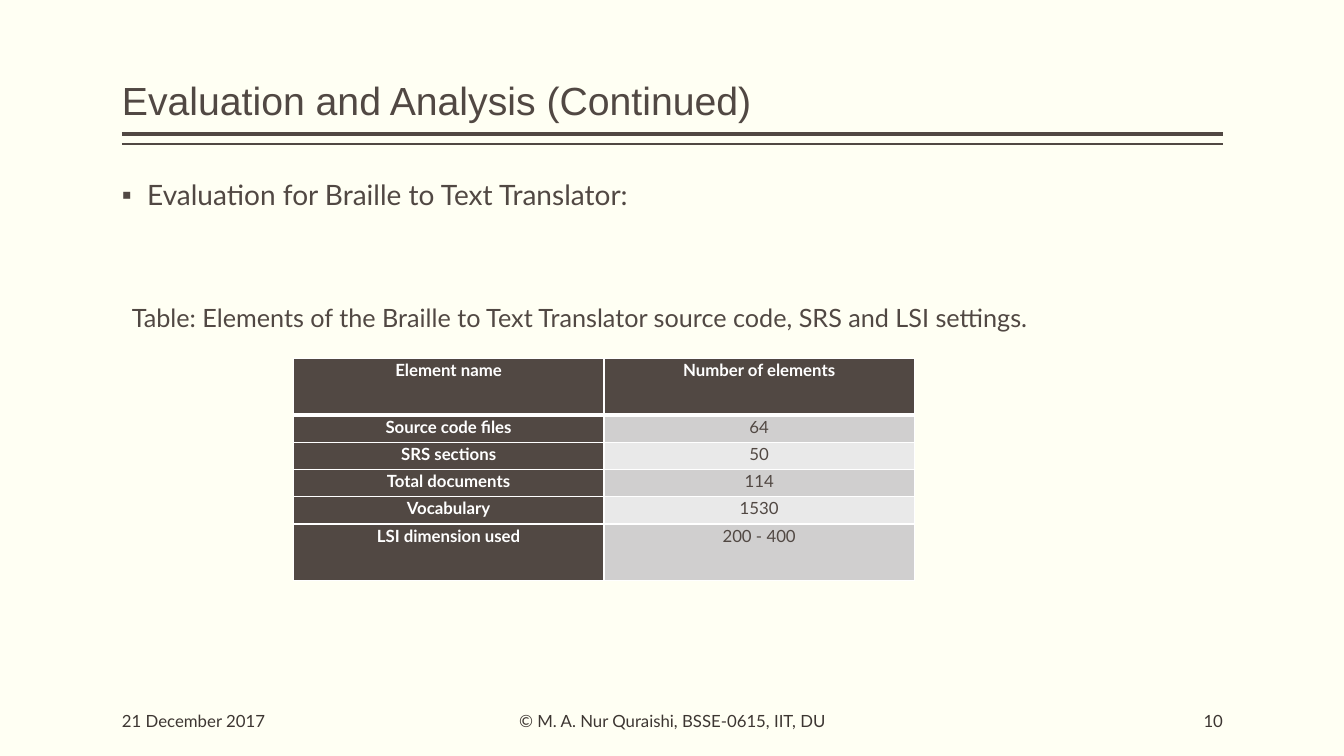
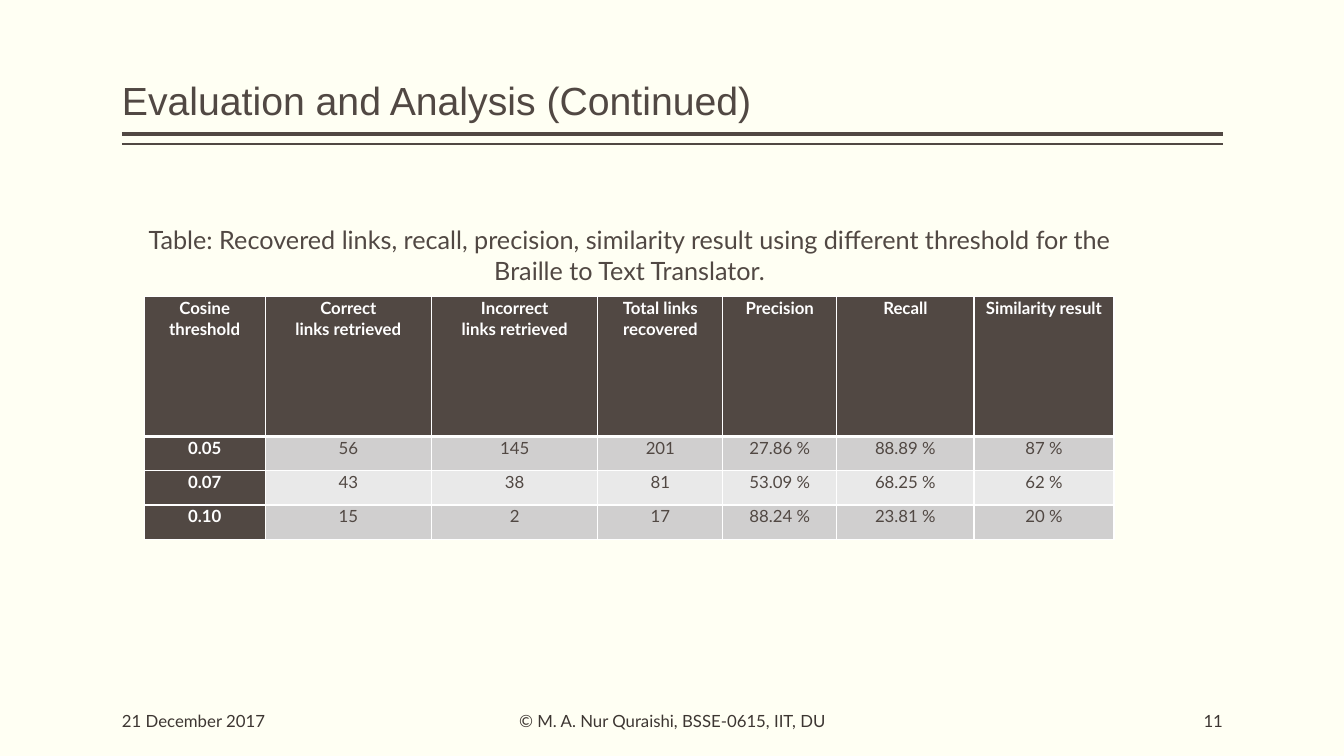
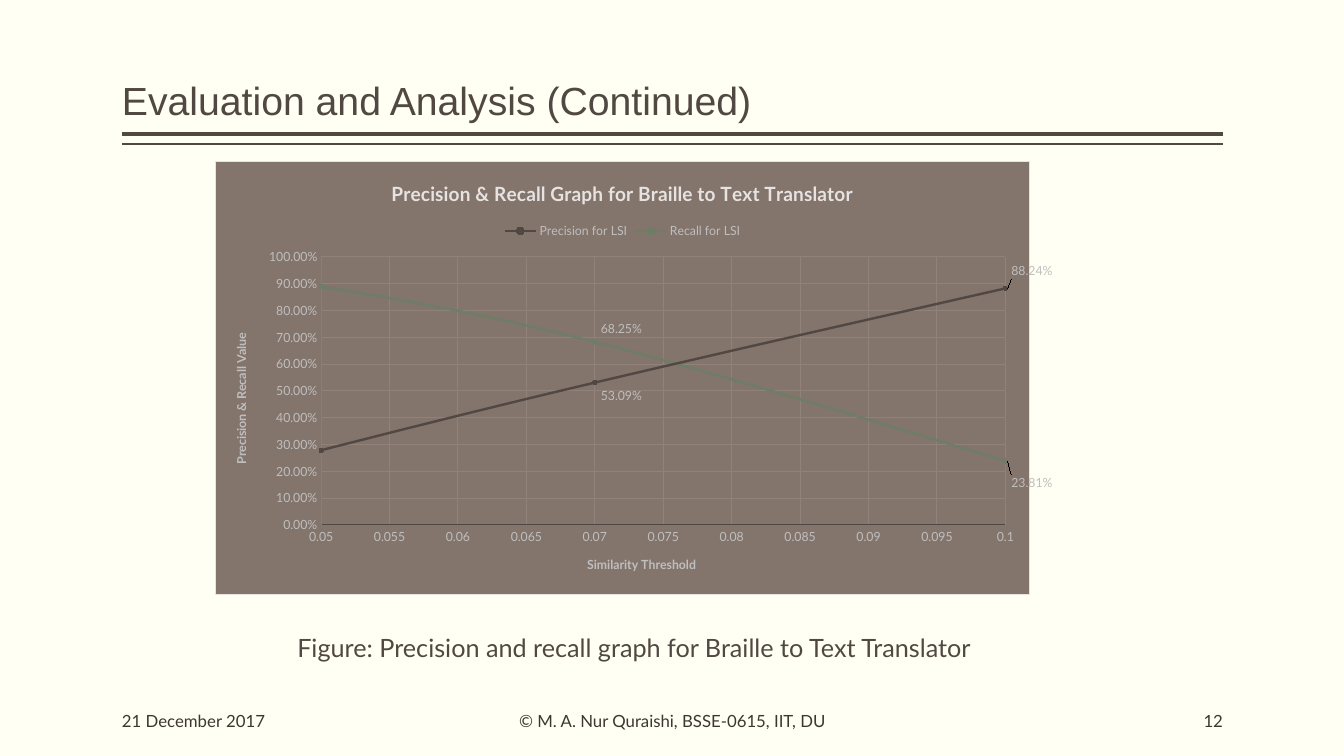
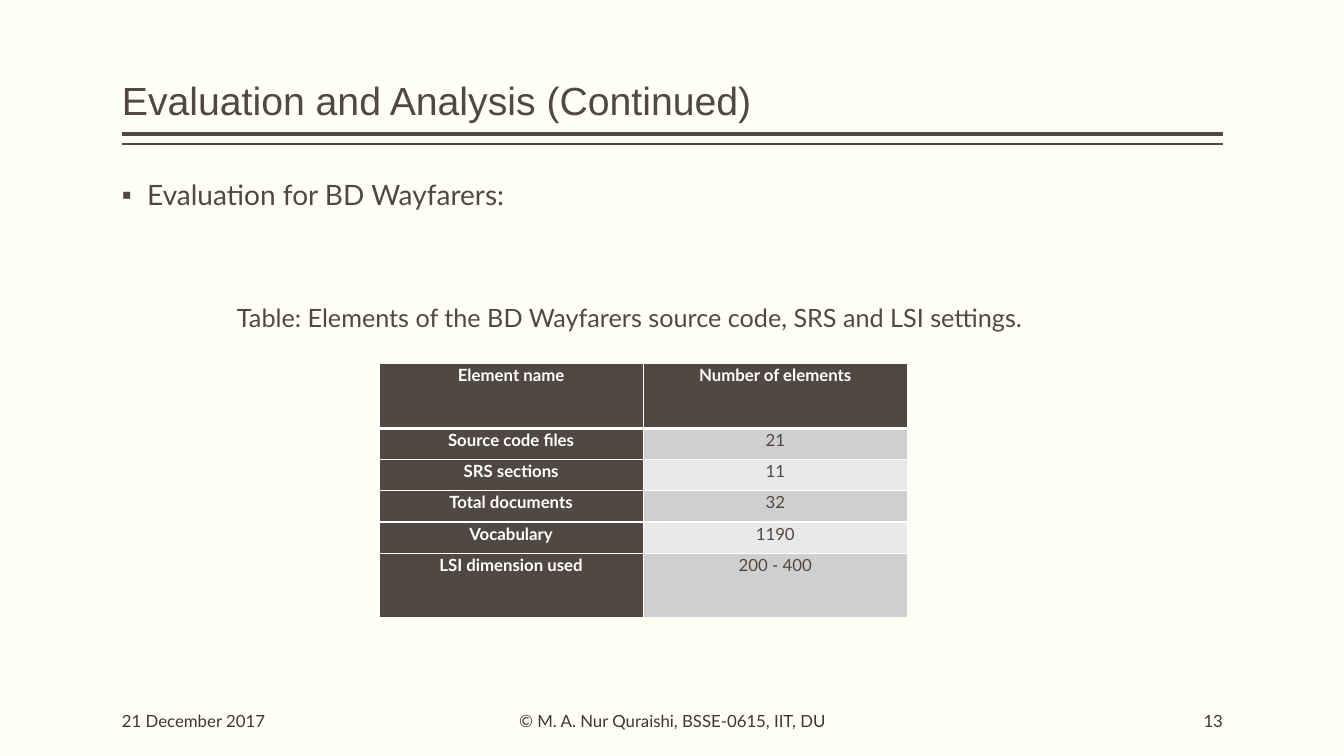
from dataclasses import dataclass
from typing import Optional

from lxml.etree import SubElement
from pptx import Presentation
from pptx.chart.chart import Chart
from pptx.chart.data import XyChartData
from pptx.dml.color import RGBColor
from pptx.enum.chart import (XL_CHART_TYPE, XL_LABEL_POSITION, XL_LEGEND_POSITION,
                             XL_MARKER_STYLE, XL_TICK_MARK)
from pptx.enum.shapes import MSO_CONNECTOR
from pptx.enum.text import MSO_ANCHOR, PP_ALIGN
from pptx.oxml import parse_xml
from pptx.oxml.ns import nsdecls, qn
from pptx.slide import Slide
from pptx.util import Inches, Pt

CREAM = RGBColor(0xFF, 0xFF, 0xF3)
BROWN = RGBColor(0x51, 0x48, 0x43)
FOOTER_INK = RGBColor(0x3D, 0x36, 0x32)
WHITE = RGBColor(0xFF, 0xFF, 0xFF)
BAND_DARK = RGBColor(0xD0, 0xCF, 0xCF)
BAND_LIGHT = RGBColor(0xE9, 0xE9, 0xE9)
CHART_FILL = RGBColor(0x83, 0x74, 0x6C)
CHART_EDGE = RGBColor(0xE6, 0xE3, 0xE1)
GRID = RGBColor(0x90, 0x82, 0x7A)
AXIS_GREY = RGBColor(0x80, 0x80, 0x80)
CHART_INK = RGBColor(0xBF, 0xBF, 0xBF)
GREEN = RGBColor(0x6D, 0x7D, 0x66)

LEFT, WIDTH = 1.21, 10.92
FOOTER_W = 2.0
FIRST_PAGE = 10
TITLE = "Evaluation and Analysis (Continued)"
DATE = "21 December 2017"
AUTHOR = "© M. A. Nur Quraishi, BSSE-0615, IIT, DU"

TITLE_FONT = {"name": "Arial", "size": Pt(28)}
BODY_FONT = {"name": "Lato", "size": Pt(20)}
CAPTION_FONT = {"name": "Lato", "size": Pt(18)}
FOOTER_FONT = {"name": "Lato", "size": Pt(12)}
CELL_FONT = {"name": "Lato", "size": Pt(12), "bold": False}
HEAD_FONT = CELL_FONT | {"bold": True}
CHART_FONT = {"name": "Lato", "size": Pt(9), "bold": False}
AXIS_TITLE_FONT = CHART_FONT | {"bold": True}
CHART_TITLE_FONT = AXIS_TITLE_FONT | {"size": Pt(14)}


@dataclass
class Box:
    x: float
    y: float
    w: float
    h: float

    def emu(self) -> tuple:
        return tuple(Inches(v) for v in (self.x, self.y, self.w, self.h))


@dataclass
class Caption:
    text: str
    box: Box
    align: PP_ALIGN = PP_ALIGN.CENTER


@dataclass
class Grid:
    x: float
    y: float
    cols: list[float]
    rows: list[float]
    cells: list[list[str]]


@dataclass
class Curve:
    name: str
    color: RGBColor
    values: list[float]
    label_shifts: dict[int, float]


@dataclass
class Page:
    caption: Caption
    bullet: Optional[str] = None
    grid: Optional[Grid] = None
    curves: Optional[list[Curve]] = None


def style_font(font, fmt: dict, color: RGBColor) -> None:
    for key, value in fmt.items():
        setattr(font, key, value)
    font.color.rgb = color


def add_text(s: Slide, text: str, box: Box, fmt: dict, color: RGBColor = BROWN,
             align: PP_ALIGN = PP_ALIGN.LEFT, anchor: MSO_ANCHOR = MSO_ANCHOR.TOP,
             side: float = 0, spacing: float = 1.0):
    tf = s.shapes.add_textbox(*box.emu()).text_frame
    frame = {"word_wrap": True, "vertical_anchor": anchor,
             "margin_left": Inches(side), "margin_right": Inches(side)}
    for key, value in frame.items():
        setattr(tf, key, value)
    p = tf.paragraphs[0]
    p.alignment, p.line_spacing = align, spacing
    r = p.add_run()
    r.text = text
    style_font(r.font, fmt, color)
    return p


def add_rule(s: Slide, y: float, weight: float) -> None:
    sp = s.shapes.add_connector(MSO_CONNECTOR.STRAIGHT, Inches(LEFT), Inches(y),
                                Inches(LEFT + WIDTH), Inches(y))
    sp.line.color.rgb = BROWN
    sp.line.width = Pt(weight)
    SubElement(sp.element.spPr, qn("a:effectLst"))


def add_frame(s: Slide, number: int) -> None:
    add_rule(s, 1.33, 3)
    add_rule(s, 1.43, 1)
    add_text(s, TITLE, Box(LEFT, 0.08, WIDTH, 1.2), TITLE_FONT,
             anchor=MSO_ANCHOR.BOTTOM, spacing=0.9)
    x = LEFT
    for text, w, align in ((DATE, FOOTER_W, PP_ALIGN.LEFT),
                           (AUTHOR, WIDTH - 2 * FOOTER_W, PP_ALIGN.CENTER),
                           (str(number), FOOTER_W, PP_ALIGN.RIGHT)):
        add_text(s, text, Box(x, 6.95, w, 0.4), FOOTER_FONT, FOOTER_INK,
                 align, MSO_ANCHOR.MIDDLE)
        x += w


def add_bullet(s: Slide, text: str) -> None:
    p = add_text(s, text, Box(LEFT, 1.75, WIDTH, 5), BODY_FONT, spacing=0.9)
    p.space_before = Pt(18)
    pPr = p._p.get_or_add_pPr()
    pPr.set("marL", str(Inches(0.25)))
    pPr.set("indent", str(-Inches(0.25)))
    SubElement(pPr, qn("a:buFont"), typeface="Arial")
    SubElement(pPr, qn("a:buChar"), char="▪")


def add_borders(cell, top: float, bottom: float) -> None:
    tcPr = cell._tc.get_or_add_tcPr()
    for side, weight in (("L", 1), ("R", 1), ("T", top), ("B", bottom)):
        ln = SubElement(tcPr, qn(f"a:ln{side}"), w=str(Pt(weight)))
        SubElement(SubElement(ln, qn("a:solidFill")), qn("a:srgbClr"), val=str(WHITE))


def fill_cell(cell, text: str, row: int, col: int) -> None:
    heading = row == 0 or col == 0
    add_borders(cell, 3 if row == 1 else 1, 3 if row == 0 else 1)
    cell.fill.solid()
    cell.fill.fore_color.rgb = BROWN if heading else BAND_DARK if row % 2 else BAND_LIGHT
    margins = {"margin_left": 0.07, "margin_right": 0.07, "margin_top": 0, "margin_bottom": 0}
    for key, value in margins.items():
        setattr(cell, key, Inches(value))
    cell.text_frame.text = text
    for p in cell.text_frame.paragraphs:
        p.alignment, p.line_spacing = PP_ALIGN.CENTER, 1.07
        style_font(p.runs[0].font, HEAD_FONT if heading else CELL_FONT,
                   WHITE if heading else BROWN)


def add_grid(s: Slide, grid: Grid) -> None:
    box = Box(grid.x, grid.y, sum(grid.cols), sum(grid.rows))
    table = s.shapes.add_table(len(grid.rows), len(grid.cols), *box.emu()).table
    for column, w in zip(table.columns, grid.cols):
        column.width = Inches(w)
    for row, h in zip(table.rows, grid.rows):
        row.height = Inches(h)
    for i, texts in enumerate(grid.cells):
        for j, text in enumerate(texts):
            fill_cell(table.cell(i, j), text, i, j)


def style_axis(axis, title: str, color: RGBColor, low: float, high: float,
               step: float, number_format: str) -> None:
    scale = {"minimum_scale": low, "maximum_scale": high, "major_unit": step,
             "has_major_gridlines": True, "major_tick_mark": XL_TICK_MARK.NONE,
             "minor_tick_mark": XL_TICK_MARK.NONE}
    for key, value in scale.items():
        setattr(axis, key, value)
    for line, ink in ((axis.format.line, color), (axis.major_gridlines.format.line, GRID)):
        line.color.rgb = ink
        line.width = Pt(0.75)
    axis.tick_labels.number_format = number_format
    axis.tick_labels.number_format_is_linked = False
    style_font(axis.tick_labels.font, CHART_FONT, CHART_INK)
    set_title(axis.axis_title, title, AXIS_TITLE_FONT, CHART_INK)


def set_title(title, text: str, fmt: dict, color: RGBColor) -> None:
    title.text_frame.text = text
    style_font(title.text_frame.paragraphs[0].runs[0].font, fmt, color)


def manual_layout(**values) -> object:
    items = "".join(f'<c:{key} val="{value}"/>' for key, value in values.items())
    return parse_xml(f'<c:layout {nsdecls("c")}><c:manualLayout>{items}'
                     '</c:manualLayout></c:layout>')


def style_curve(series, curve: Curve) -> None:
    series.format.line.color.rgb = curve.color
    series.format.line.width = Pt(1.75)
    series.marker.style = XL_MARKER_STYLE.CIRCLE
    series.marker.size = 3
    series.marker.format.fill.solid()
    series.marker.format.fill.fore_color.rgb = curve.color
    series.marker.format.line.color.rgb = curve.color
    for i in curve.label_shifts:
        label = series.points[i].data_label
        style_font(label.font, CHART_FONT, CHART_INK)
        label.position = XL_LABEL_POSITION.RIGHT


def finish_chart_xml(chart: Chart, curves: list[Curve]) -> None:
    root = chart.element
    for smooth in root.xpath(".//c:smooth"):
        smooth.set("val", "1")
    shifts = [y for curve in curves for y in curve.label_shifts.values()]
    for label, y in zip(root.xpath(".//c:dLbl"), shifts):
        label.insert(1, manual_layout(x=0, y=y))
    plot_area = root.xpath(".//c:plotArea")[0]
    for old in plot_area.xpath("./c:layout"):
        plot_area.remove(old)
    plot_area.insert(0, manual_layout(layoutTarget="inner", xMode="edge", yMode="edge",
                                      x=0.13, y=0.22, w=0.84, h=0.62))
    root.xpath("./c:chart")[0].addnext(parse_xml(
        f'<c:spPr {nsdecls("c", "a")}>'
        f'<a:solidFill><a:srgbClr val="{CHART_FILL}"/></a:solidFill>'
        f'<a:ln w="{Pt(0.75)}"><a:solidFill><a:srgbClr val="{CHART_EDGE}"/></a:solidFill></a:ln>'
        '</c:spPr>'))


def add_curves(s: Slide, curves: list[Curve]) -> None:
    data = XyChartData(number_format="0.00%")
    for curve in curves:
        series = data.add_series(curve.name)
        for x, y in zip(THRESHOLDS, curve.values):
            series.add_data_point(x, y)
    box = Box(2.13, 1.6, 8.31, 4.3)
    chart = s.shapes.add_chart(XL_CHART_TYPE.XY_SCATTER_SMOOTH, *box.emu(), data).chart
    style_font(chart.font, CHART_FONT, CHART_INK)
    chart.plots[0].vary_by_categories = False
    chart.has_title = True
    set_title(chart.chart_title, "Precision & Recall Graph for Braille to Text Translator",
              CHART_TITLE_FONT, CHART_EDGE)
    chart.has_legend = True
    chart.legend.position = XL_LEGEND_POSITION.TOP
    chart.legend.include_in_layout = False
    style_font(chart.legend.font, CHART_FONT, CHART_INK)
    style_axis(chart.category_axis, "Similarity Threshold", BROWN, 0.05, 0.1, 0.005, "General")
    style_axis(chart.value_axis, "Precision & Recall Value", AXIS_GREY, 0, 1, 0.1, "0.00%")
    for series, curve in zip(chart.plots[0].series, curves):
        style_curve(series, curve)
    finish_chart_xml(chart, curves)


def element_grid(x: float, y: float, col: float, tall: float, short: float,
                 counts: list[str]) -> Grid:
    names = ["Source code files", "SRS sections", "Total documents", "Vocabulary",
             "LSI dimension used"]
    cells = [["Element name", "Number of elements"]] + [list(c) for c in zip(names, counts)]
    return Grid(x, y, [col] * 2, [tall] + [short] * 4 + [tall], cells)


THRESHOLDS = [0.05, 0.07, 0.1]
CAPTION_BOX = Box(LEFT, 2.95, 10.07, 0.4)
PAGES = [
    Page(Caption("Table: Elements of the Braille to Text Translator source code, "
                 "SRS and LSI settings.", CAPTION_BOX, PP_ALIGN.LEFT),
         bullet="Evaluation for Braille to Text Translator:",
         grid=element_grid(2.91, 3.56, 3.08, 0.56, 0.27,
                           ["64", "50", "114", "1530", "200 - 400"])),
    Page(Caption("Table: Recovered links, recall, precision, similarity result using different "
                 "threshold for the Braille to Text Translator.", Box(LEFT, 2.18, 10.07, 0.71)),
         grid=Grid(1.43, 2.94, [1.2, 1.65, 1.65, 1.24, 1.13, 1.36, 1.39], [1.39] + [0.34] * 3, [
             ["Cosine\nthreshold", "Correct\nlinks retrieved", "Incorrect\nlinks retrieved",
              "Total links\nrecovered", "Precision", "Recall", "Similarity result"],
             ["0.05", "56", "145", "201", "27.86 %", "88.89 %", "87 %"],
             ["0.07", "43", "38", "81", "53.09 %", "68.25 %", "62 %"],
             ["0.10", "15", "2", "17", "88.24 %", "23.81 %", "20 %"]])),
    Page(Caption("Figure: Precision and recall graph for Braille to Text Translator",
                 Box(2.24, 6.22, 8.1, 0.71)),
         curves=[Curve("Precision for LSI", BROWN, [0.2786, 0.5309, 0.8824],
                       {1: 0.03, 2: -0.04}),
                 Curve("Recall for LSI", GREEN, [0.8889, 0.6825, 0.2381],
                       {1: -0.03, 2: 0.05})]),
    Page(Caption("Table: Elements of the BD Wayfarers source code, SRS and LSI settings.",
                 CAPTION_BOX),
         bullet="Evaluation for BD Wayfarers:",
         grid=element_grid(3.76, 3.61, 2.62, 0.64, 0.31,
                           ["21", "11", "32", "1190", "200 - 400"])),
]


def main() -> None:
    prs = Presentation()
    prs.slide_width, prs.slide_height = Inches(13.33), Inches(7.5)
    background = prs.slide_master.background.fill
    background.solid()
    background.fore_color.rgb = CREAM
    for number, page in enumerate(PAGES, FIRST_PAGE):
        s = prs.slides.add_slide(prs.slide_layouts[6])
        add_frame(s, number)
        if page.bullet:
            add_bullet(s, page.bullet)
        if page.grid:
            add_grid(s, page.grid)
        if page.curves:
            add_curves(s, page.curves)
        caption = page.caption
        add_text(s, caption.text, caption.box, CAPTION_FONT, align=caption.align, side=0.1)
    prs.save("out.pptx")


if __name__ == "__main__":
    main()
